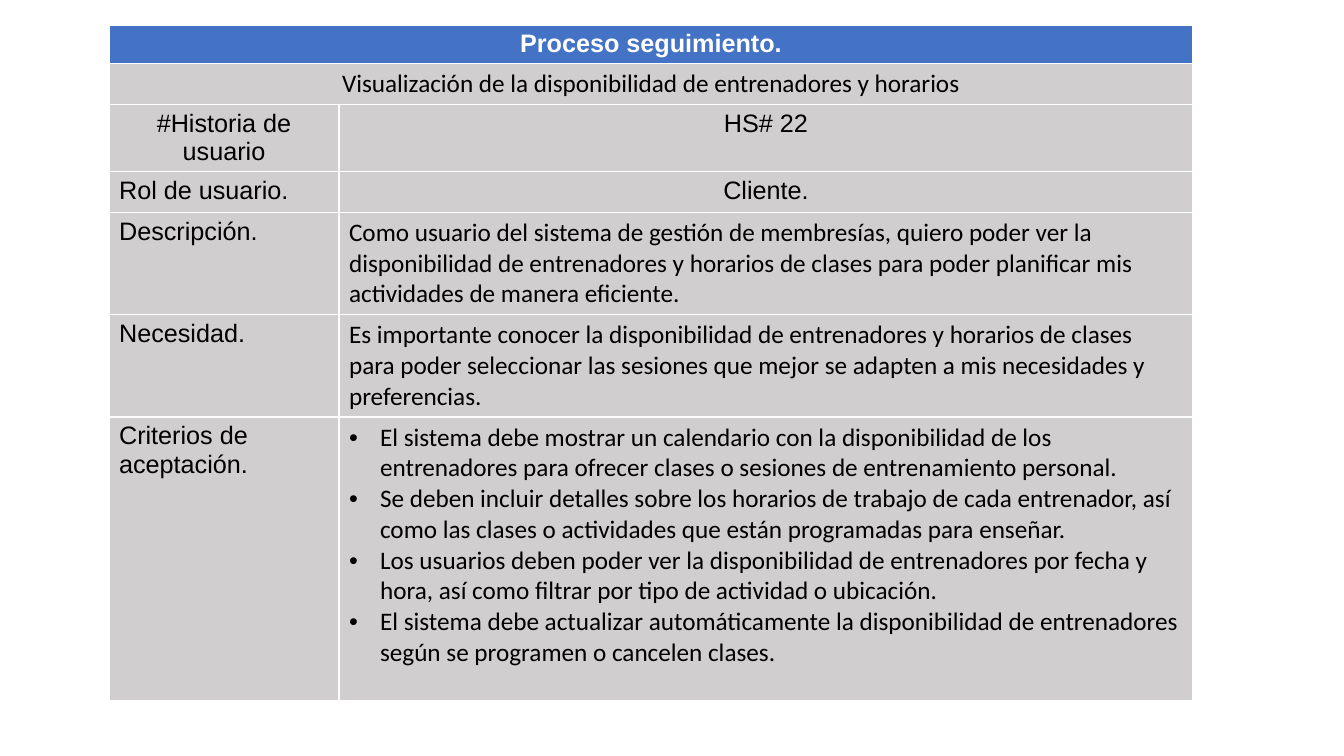
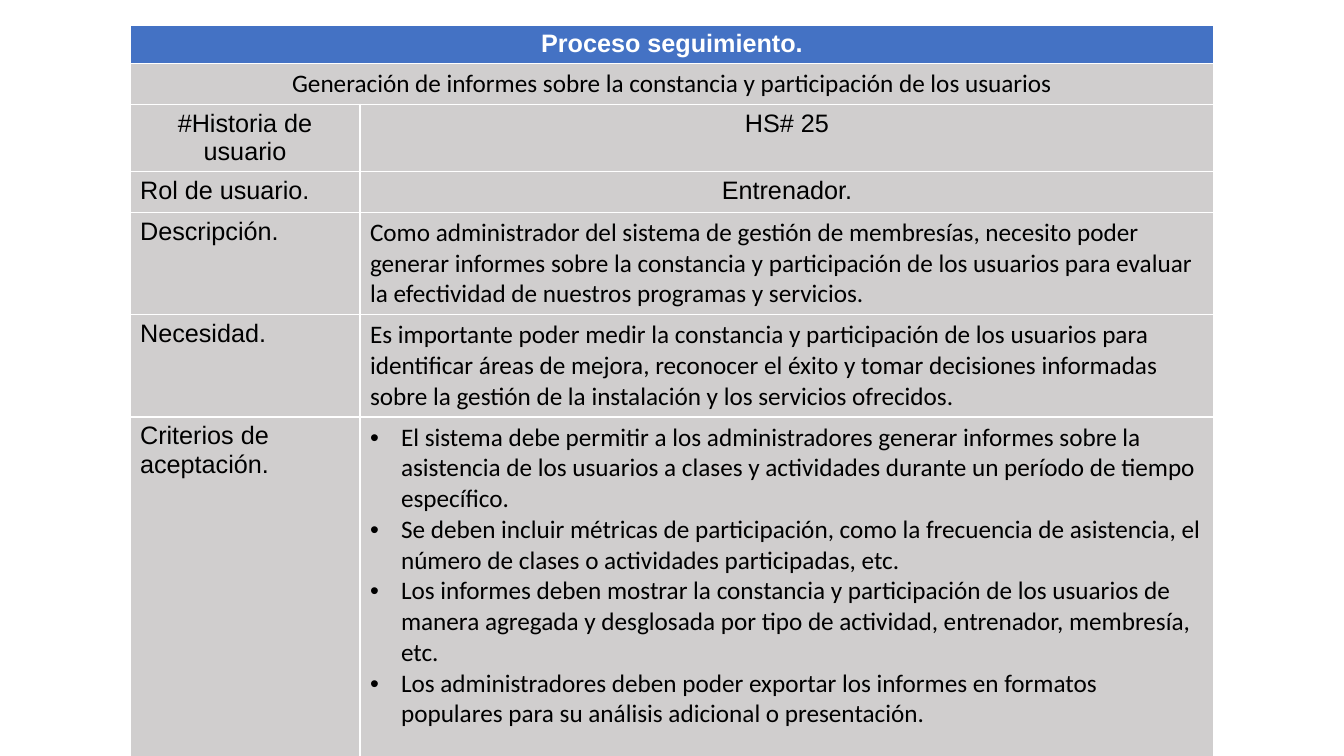
import pptx
import pptx.dml.color
import pptx.enum.text
import pptx.oxml
import pptx.oxml.ns
import pptx.util

EMU_PER_PX = 914400 / 100.8
BLUE = pptx.dml.color.RGBColor(0x44, 0x72, 0xC4)
GRAY = pptx.dml.color.RGBColor(0xD0, 0xCE, 0xCE)
WHITE = pptx.dml.color.RGBColor(0xFF, 0xFF, 0xFF)
BLACK = pptx.dml.color.RGBColor(0x00, 0x00, 0x00)
CENTER = pptx.enum.text.PP_ALIGN.CENTER
LEFT = pptx.enum.text.PP_ALIGN.LEFT

TABLE_TOP = 25
COLUMN_WIDTHS = (230, 854)
ROW_HEIGHTS = (38, 41, 67, 41, 102, 102)
BULLET_INDENT = 31

STORIES = [
    {
        "left": 109,
        "criteria_height": 284,
        "name": "Visualización de la disponibilidad de entrenadores y horarios",
        "number": "HS# 22",
        "role": "Cliente.",
        "description": "Como usuario del sistema de gestión de membresías, quiero poder ver la "
                       "disponibilidad de entrenadores y horarios de clases para poder planificar "
                       "mis actividades de manera eficiente.",
        "need": "Es importante conocer la disponibilidad de entrenadores y horarios de clases "
                "para poder seleccionar las sesiones que mejor se adapten a mis necesidades y "
                "preferencias.",
        "criteria": [
            "El sistema debe mostrar un calendario con la disponibilidad de los entrenadores "
            "para ofrecer clases o sesiones de entrenamiento personal.",
            "Se deben incluir detalles sobre los horarios de trabajo de cada entrenador, así "
            "como las clases o actividades que están programadas para enseñar.",
            "Los usuarios deben poder ver la disponibilidad de entrenadores por fecha y hora, "
            "así como filtrar por tipo de actividad o ubicación.",
            "El sistema debe actualizar automáticamente la disponibilidad de entrenadores "
            "según se programen o cancelen clases.",
        ],
    },
    {
        "left": 130,
        "criteria_height": 345,
        "name": "Generación de informes sobre la constancia y participación de los usuarios",
        "number": "HS# 25",
        "role": "Entrenador.",
        "description": "Como administrador del sistema de gestión de membresías, necesito poder "
                       "generar informes sobre la constancia y participación de los usuarios para "
                       "evaluar la efectividad de nuestros programas y servicios.",
        "need": "Es importante poder medir la constancia y participación de los usuarios para "
                "identificar áreas de mejora, reconocer el éxito y tomar decisiones informadas "
                "sobre la gestión de la instalación y los servicios ofrecidos.",
        "criteria": [
            "El sistema debe permitir a los administradores generar informes sobre la "
            "asistencia de los usuarios a clases y actividades durante un período de tiempo "
            "específico.",
            "Se deben incluir métricas de participación, como la frecuencia de asistencia, el "
            "número de clases o actividades participadas, etc.",
            "Los informes deben mostrar la constancia y participación de los usuarios de "
            "manera agregada y desglosada por tipo de actividad, entrenador, membresía, etc.",
            "Los administradores deben poder exportar los informes en formatos populares para "
            "su análisis adicional o presentación.",
        ],
    },
]


def px(length):
    return pptx.util.Emu(round(length * EMU_PER_PX))


def fill_cell(cell, texts, font_name, alignment=LEFT, header=False, bulleted=False):
    """Color a cell and write one paragraph for each text."""
    cell.fill.solid()
    cell.fill.fore_color.rgb = BLUE if header else GRAY
    for index, text in enumerate(texts):
        text_frame = cell.text_frame
        paragraph = text_frame.add_paragraph() if index else text_frame.paragraphs[0]
        paragraph.alignment = alignment
        if bulleted:
            properties = paragraph._p.get_or_add_pPr()
            properties.set("marL", str(px(BULLET_INDENT)))
            properties.set("indent", str(-px(BULLET_INDENT)))
            namespace = pptx.oxml.ns.nsdecls("a")
            for bullet_xml in (
                f'<a:buClr {namespace}><a:srgbClr val="{BLACK}"/></a:buClr>',
                f'<a:buFont {namespace} typeface="Arial"/>',
                f'<a:buChar {namespace} char="•"/>',
            ):
                properties.append(pptx.oxml.parse_xml(bullet_xml))
        run = paragraph.add_run()
        run.text = text
        run.font.name = font_name
        run.font.size = pptx.util.Pt(18)
        run.font.bold = header
        run.font.color.rgb = WHITE if header else BLACK


presentation = pptx.Presentation()
presentation.slide_width = px(1344)
presentation.slide_height = px(756)

for story in STORIES:
    slide = presentation.slides.add_slide(presentation.slide_layouts[6])
    row_heights = (*ROW_HEIGHTS, story["criteria_height"])
    table = slide.shapes.add_table(
        len(row_heights), len(COLUMN_WIDTHS), px(story["left"]), px(TABLE_TOP),
        px(sum(COLUMN_WIDTHS)), px(sum(row_heights)),
    ).table
    for column, width in zip(table.columns, COLUMN_WIDTHS):
        column.width = px(width)
    for row, height in zip(table.rows, row_heights):
        row.height = px(height)

    for row_index in (0, 1):
        table.cell(row_index, 0).merge(table.cell(row_index, 1))
    fill_cell(table.cell(0, 0), ["Proceso seguimiento."], "Arial", CENTER, header=True)
    fill_cell(table.cell(1, 0), [story["name"]], "Calibri", CENTER)

    fields = [
        ("#Historia de usuario", CENTER, [story["number"]], "Arial", CENTER),
        ("Rol de usuario.", LEFT, [story["role"]], "Arial", CENTER),
        ("Descripción.", LEFT, [story["description"]], "Calibri", LEFT),
        ("Necesidad.", LEFT, [story["need"]], "Calibri", LEFT),
        ("Criterios de aceptación.", LEFT, story["criteria"], "Calibri", LEFT),
    ]
    for row_index, (label, label_alignment, texts, font_name, alignment) in enumerate(fields, 2):
        fill_cell(table.cell(row_index, 0), [label], "Arial", label_alignment)
        fill_cell(table.cell(row_index, 1), texts, font_name, alignment,
                  bulleted=len(texts) > 1)

presentation.save("out.pptx")
